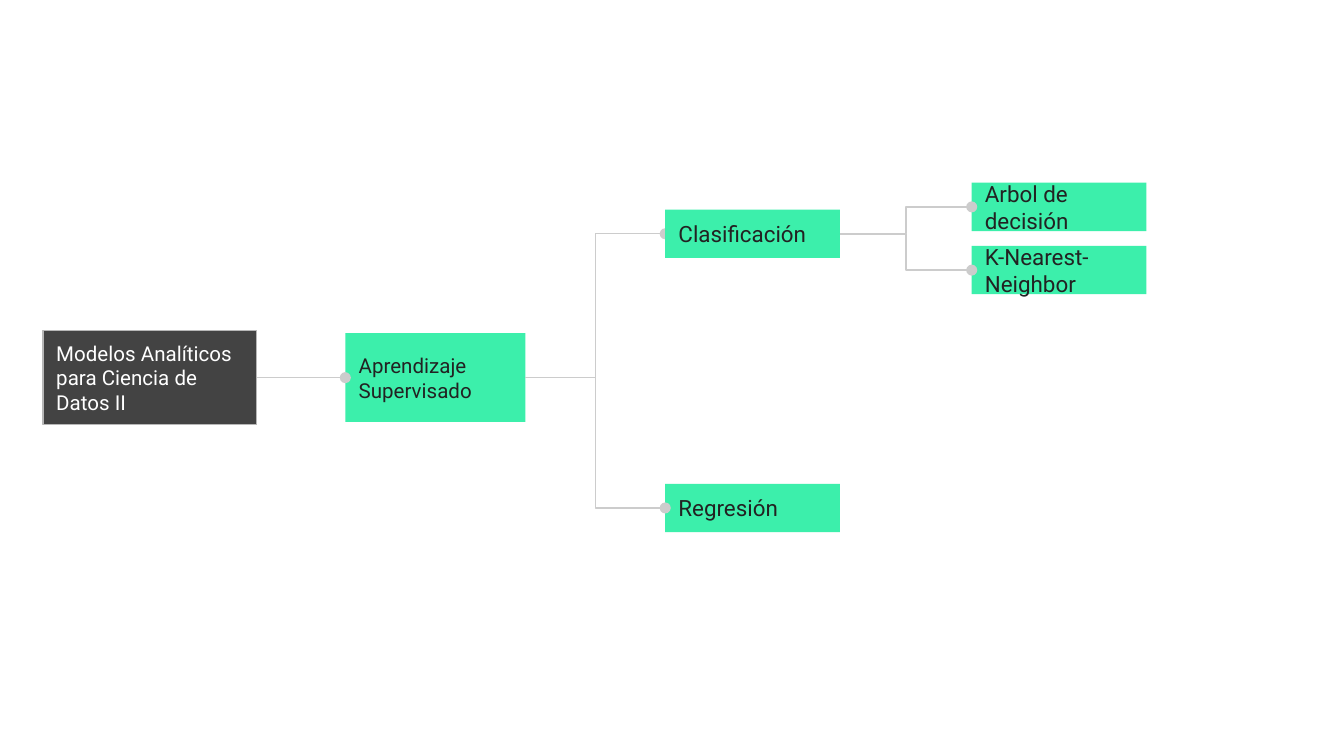
"""Build a slide with a left-to-right tree of supervised learning models."""
from dataclasses import dataclass
from typing import Optional

import lxml.etree
import pptx
import pptx.dml.color
import pptx.enum.shapes
import pptx.enum.text
import pptx.oxml.ns
import pptx.util
from pptx.util import Inches

COLORS = {
    "root": "434343",
    "root_border": "B7B7B7",
    "root_text": "FFFFFF",
    "topic": "3CEFAB",
    "topic_text": "222222",
    "branch": "CCCCCC",
}
FONT = "Roboto"
LINE_WIDTH = pptx.util.Pt(0.75)
LEFT_SITE, RIGHT_SITE = 1, 3
MODEL_COLUMN, METHOD_COLUMN = 4.95, 7.23


@dataclass(frozen=True)
class Node:
    """A box of the tree, with the name of its parent."""

    name: str
    text: str
    left: float
    top: float
    width: float = 1.3
    height: float = 0.36
    size: int = 12
    parent: Optional[str] = None
    covers_dot: bool = False


NODES = [
    Node("course", "Modelos Analíticos para Ciencia de Datos II", 0.32, 2.46, 1.59, 0.7, 11),
    Node("supervised", "Aprendizaje Supervisado", 2.57, 2.48, 1.34, 0.66, 11, "course"),
    Node("classification", "Clasificación", MODEL_COLUMN, 1.56,
         parent="supervised", covers_dot=True),
    Node("regression", "Regresión", MODEL_COLUMN, 3.6, parent="supervised"),
    Node("tree", "Arbol de decisión", METHOD_COLUMN, 1.36, parent="classification"),
    Node("neighbor", "K-Nearest-\nNeighbor", METHOD_COLUMN, 1.83, parent="classification"),
]


def rgb(name: str) -> pptx.dml.color.RGBColor:
    """Return the named colour."""
    return pptx.dml.color.RGBColor.from_string(COLORS[name])


def draw_node(slide, node: Node):
    """Draw one box with its text."""
    role = "topic" if node.parent else "root"
    shape = slide.shapes.add_shape(
        pptx.enum.shapes.MSO_SHAPE.RECTANGLE,
        Inches(node.left), Inches(node.top), Inches(node.width), Inches(node.height),
    )
    shape.shadow.inherit = False
    shape.fill.solid()
    shape.fill.fore_color.rgb = rgb(role)
    if node.parent:
        shape.line.fill.background()
    else:
        shape.line.color.rgb = rgb("root_border")
        shape.line.width = LINE_WIDTH

    frame = shape.text_frame
    frame.text = node.text
    frame.word_wrap = True
    frame.vertical_anchor = pptx.enum.text.MSO_ANCHOR.MIDDLE
    frame.margin_left = frame.margin_right = Inches(0.1)
    frame.margin_top = frame.margin_bottom = Inches(0.1)
    for paragraph in frame.paragraphs:
        paragraph.alignment = pptx.enum.text.PP_ALIGN.LEFT
        if not node.parent:
            paragraph.space_after = pptx.util.Pt(10)
        paragraph.font.name = FONT
        paragraph.font.size = pptx.util.Pt(node.size)
        paragraph.font.color.rgb = rgb(f"{role}_text")
    return shape


def draw_branch(slide, parent, child):
    """Join two boxes with an elbow line that ends in a dot."""
    connector = slide.shapes.add_connector(
        pptx.enum.shapes.MSO_CONNECTOR.ELBOW, 0, 0, 0, 0
    )
    connector.begin_connect(parent, RIGHT_SITE)
    connector.end_connect(child, LEFT_SITE)
    connector.line.color.rgb = rgb("branch")
    connector.line.width = LINE_WIDTH
    qualified = pptx.oxml.ns.qn
    properties = connector._element.spPr
    outline = properties.find(qualified("a:ln"))
    lxml.etree.SubElement(outline, qualified("a:tailEnd"), type="oval")
    lxml.etree.SubElement(properties, qualified("a:effectLst"))
    return connector


def main() -> None:
    """Draw the tree and save the presentation."""
    presentation = pptx.Presentation()
    presentation.slide_width = Inches(10)
    presentation.slide_height = Inches(10 * 9 / 16)
    slide = presentation.slides.add_slide(presentation.slide_layouts.get_by_name("Blank"))

    boxes = {}
    for node in NODES:
        box = boxes[node.name] = draw_node(slide, node)
        if node.parent:
            connector = draw_branch(slide, boxes[node.parent], box)
            if node.covers_dot:
                connector._element.addnext(box._element)
    presentation.save("out.pptx")


if __name__ == "__main__":
    main()
